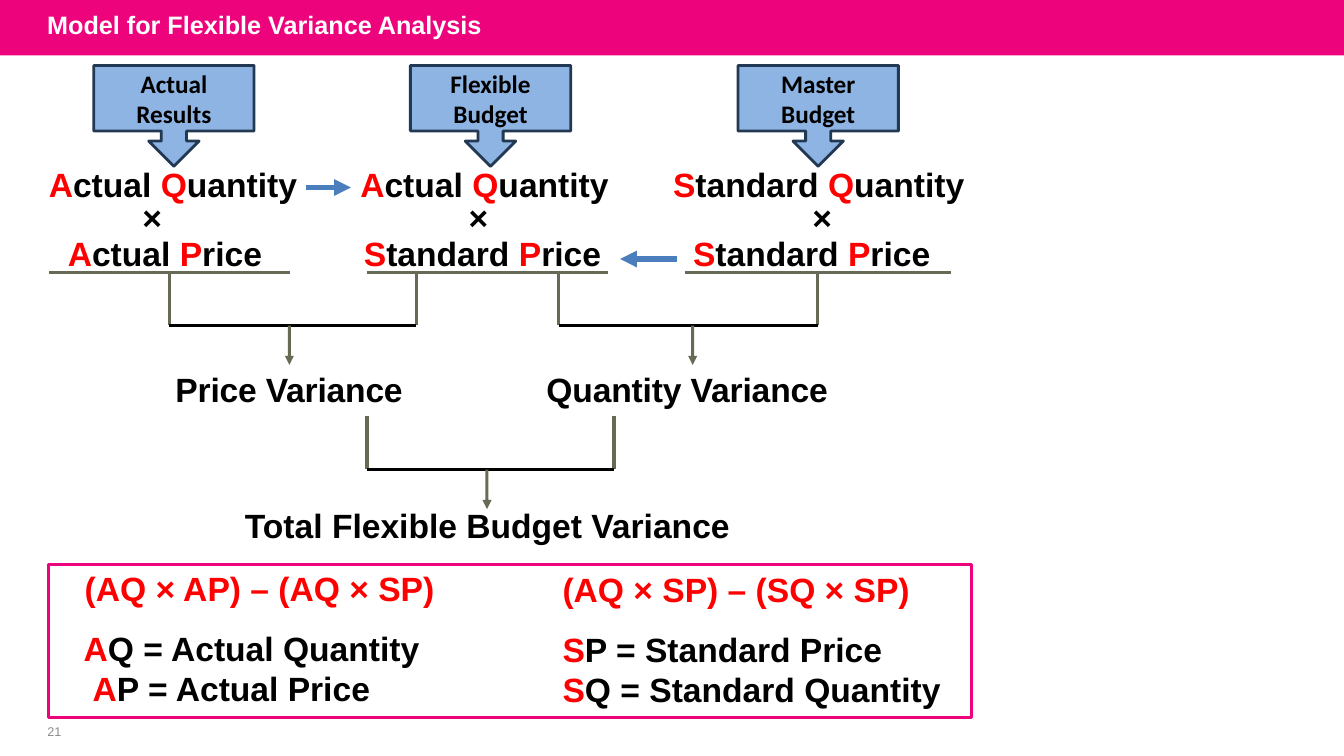
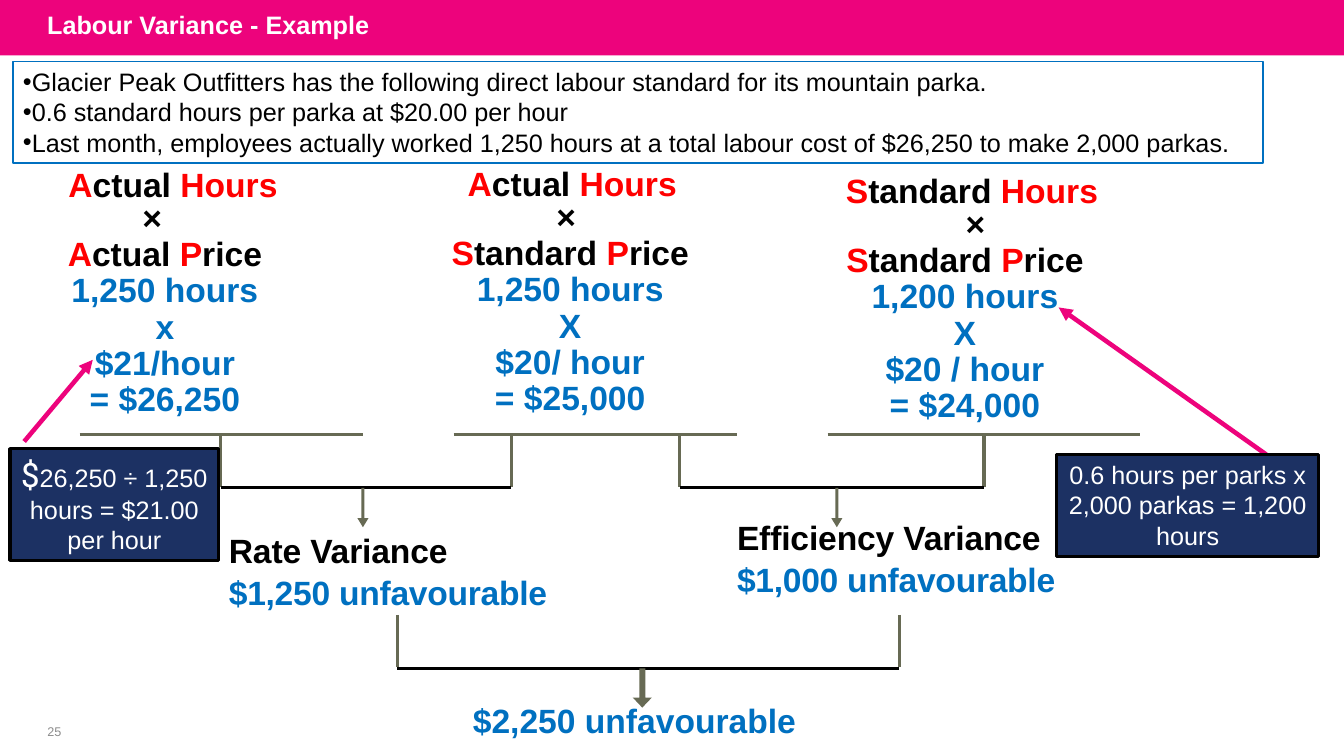
from dataclasses import dataclass

from lxml.etree import SubElement
from pptx import Presentation
from pptx.dml.color import RGBColor
from pptx.enum.shapes import MSO_CONNECTOR, MSO_SHAPE
from pptx.enum.text import MSO_ANCHOR, PP_ALIGN
from pptx.oxml.ns import qn
from pptx.util import Inches, Pt

PINK = RGBColor(0xED, 0x03, 0x7C)
WHITE = RGBColor(0xFF, 0xFF, 0xFF)
BLACK = RGBColor(0x00, 0x00, 0x00)
GREY = RGBColor(0x8C, 0x8C, 0x8C)
RED = RGBColor(0xFF, 0x00, 0x00)
BLUE = RGBColor(0x00, 0x70, 0xC0)
OLIVE = RGBColor(0x67, 0x6A, 0x54)
SKY = RGBColor(0x8E, 0xB4, 0xE3)
SKY_EDGE = RGBColor(0x23, 0x39, 0x53)
ARROW_BLUE = RGBColor(0x4B, 0x7E, 0xBC)
NAVY = RGBColor(0x1C, 0x31, 0x63)

LEFT, CENTER = PP_ALIGN.LEFT, PP_ALIGN.CENTER
COLUMN_WIDTHS = (2.49, 2.49, 2.92)
TIMES_INDENTS = ((0, 0.41), (0, 0.12), (0.07, 0))
PRICE_INDENTS = ((0, 0.16), (0, 0.04), (0, 0.14))
BASE_DROP = 0.53
LEG_LENGTH = 0.52
ARROW_LENGTH = 0.39

Point = tuple[float, float]


@dataclass(frozen=True)
class Area:
    left: float
    top: float
    width: float
    height: float


@dataclass(frozen=True)
class Line:
    text: str
    color: RGBColor = BLACK
    before: float = 0
    spacing: float | None = None
    indents: tuple[float, float] = (0, 0)
    bullet: bool = False
    tracking: float = 0


@dataclass(frozen=True)
class Column:
    left: float
    top: float
    quantity: str
    price: str
    amounts: tuple[str, ...] = ()


@dataclass(frozen=True)
class Rule:
    left: float
    right: float
    legs: tuple[float, ...]


@dataclass(frozen=True)
class Bracket:
    left: float
    right: float
    top: float
    arrow_center: float
    arrow_width: float = 0.09
    shaft_width: float = 0.03
    head_length: float = 0.09


def write(shape, lines: list[Line], size: float = 24, bold: bool = True,
          align=LEFT, font: str = "Arial") -> None:
    frame = shape.text_frame
    frame.word_wrap = True
    for index, line in enumerate(lines):
        paragraph = frame.add_paragraph() if index else frame.paragraphs[0]
        paragraph.alignment = align
        if line.before:
            paragraph.space_before = Pt(line.before)
        if line.spacing:
            paragraph.line_spacing = Pt(line.spacing)
        properties = paragraph._p.get_or_add_pPr()
        for name, indent in zip(("marL", "marR"), line.indents):
            if indent:
                properties.set(name, str(Inches(indent)))
        if line.bullet:
            SubElement(properties, qn("a:buFont")).set("typeface", "Arial")
            SubElement(properties, qn("a:buChar")).set("char", "•")
        for part, text in enumerate(line.text.split("*")):
            if text:
                span = paragraph.add_run()
                span.text = text
                span.font.name = font
                span.font.size = Pt(size)
                span.font.bold = bold
                span.font.color.rgb = RED if part % 2 else line.color
                if line.tracking:
                    span._r.get_or_add_rPr().set("spc", str(round(line.tracking * 100)))


def add_text(page, area: Area, lines: list[Line], align=LEFT, size: float = 24):
    box = page.shapes.add_textbox(Inches(area.left), Inches(area.top),
                                  Inches(area.width), Inches(area.height))
    frame = box.text_frame
    frame.margin_left = frame.margin_right = frame.margin_bottom = 0
    frame.margin_top = Inches(0.01)
    write(box, lines, size, size > 9, align)
    return box


def add_block(page, area: Area, fill: RGBColor | None = None,
              edge: RGBColor | None = None, weight: float = 2,
              kind=MSO_SHAPE.RECTANGLE):
    block = page.shapes.add_shape(kind, Inches(area.left), Inches(area.top),
                                  Inches(area.width), Inches(area.height))
    block.shadow.inherit = False
    if fill is None:
        block.fill.background()
    else:
        block.fill.solid()
        block.fill.fore_color.rgb = fill
    if edge is None:
        block.line.fill.background()
    else:
        block.line.color.rgb = edge
        block.line.width = Pt(weight)
    return block


def add_line(page, start: Point, end: Point, color: RGBColor,
             weight: float = 2.25, arrow: bool = False) -> None:
    connector = page.shapes.add_connector(
        MSO_CONNECTOR.STRAIGHT, Inches(start[0]), Inches(start[1]),
        Inches(end[0]), Inches(end[1]))
    connector.line.color.rgb = color
    connector.line.width = Pt(weight)
    if arrow:
        SubElement(connector.line._get_or_add_ln(), qn("a:tailEnd")).set("type", "triangle")
    SubElement(connector._element.spPr, qn("a:effectLst"))


def add_strokes(page, strokes: list[tuple[Point, Point]]) -> None:
    first = strokes[0][0]
    builder = page.shapes.build_freeform(Inches(first[0]), Inches(first[1]))
    for index, (start, end) in enumerate(strokes):
        if index:
            builder.move_to(Inches(start[0]), Inches(start[1]))
        builder.add_line_segments([(Inches(end[0]), Inches(end[1]))], close=False)
    outline = builder.convert_to_shape()
    outline.shadow.inherit = False
    outline.fill.background()
    outline.line.color.rgb = OLIVE
    outline.line.width = Pt(2.25)


def leg_strokes(legs: tuple[float, ...], top: float) -> list[tuple[Point, Point]]:
    return [((leg, top), (leg, top + LEG_LENGTH)) for leg in legs]


def add_rules(page, rules: list[Rule], top: float) -> None:
    for rule in rules:
        add_strokes(page, [((rule.left, top), (rule.right, top))] + leg_strokes(rule.legs, top))


def add_bracket(page, bracket: Bracket) -> None:
    base = bracket.top + BASE_DROP
    add_line(page, (bracket.left, base), (bracket.right, base), BLACK)
    width = bracket.arrow_width
    arrow = add_block(page, Area(bracket.arrow_center - width / 2, base, width, ARROW_LENGTH),
                      OLIVE, kind=MSO_SHAPE.DOWN_ARROW)
    arrow.adjustments[0] = bracket.shaft_width / width
    arrow.adjustments[1] = bracket.head_length / width


def add_columns(page, columns: list[Column]) -> None:
    for column, width, times, price in zip(columns, COLUMN_WIDTHS, TIMES_INDENTS, PRICE_INDENTS):
        lines = [Line(column.quantity, spacing=25.9),
                 Line("×", spacing=23.1, indents=times),
                 Line(column.price, spacing=25.9, indents=price)]
        lines += [Line(amount, BLUE, spacing=25.9, indents=price) for amount in column.amounts]
        add_text(page, Area(column.left, column.top, width, 0.36 * len(lines)), lines, CENTER)


def add_page(deck, title: str, number: str):
    page = deck.slides.add_slide(deck.slide_layouts[6])
    add_block(page, Area(0, 0, 13.33, 0.55), PINK)
    heading = page.shapes.add_textbox(Inches(0.37), Inches(-0.03), Inches(10.5), Inches(0.55))
    heading.text_frame.vertical_anchor = MSO_ANCHOR.MIDDLE
    write(heading, [Line(title, WHITE)], 18)
    footer = add_text(page, Area(0.28, 7.13, 0.52, 0.24), [Line(number, GREY)], CENTER, 9)
    footer.text_frame.vertical_anchor = MSO_ANCHOR.MIDDLE
    return page


def build_model(deck) -> None:
    page = add_page(deck, "Model for Flexible Variance Analysis", "21")
    add_columns(page, [
        Column(0.47, 1.66, "*A*ctual *Q*uantity", "*A*ctual *P*rice"),
        Column(3.56, 1.66, "*A*ctual *Q*uantity", "*S*tandard *P*rice"),
        Column(6.66, 1.66, "*S*tandard *Q*uantity", "*S*tandard *P*rice"),
    ])
    add_rules(page, [Rule(0.49, 2.88, (1.68,)), Rule(3.64, 6.03, (4.13, 5.54)),
                     Rule(6.79, 9.43, (8.11,))], 2.7)
    add_strokes(page, leg_strokes((3.64, 6.09), 4.13))
    for bracket in (Bracket(1.68, 4.13, 2.7, 2.87), Bracket(5.54, 8.11, 2.7, 6.87),
                    Bracket(3.64, 6.09, 4.13, 4.83)):
        add_bracket(page, bracket)
    for left, top, width, label, tracking in (
            (1.74, 3.65, 2.4, "Price Variance", -0.15),
            (5.42, 3.65, 2.9, "Quantity Variance", -0.1),
            (2.43, 5, 5.04, "Total Flexible Budget Variance", 0)):
        add_text(page, Area(left, top, width, 0.43), [Line(label, tracking=tracking)])

    add_block(page, Area(0.48, 5.6, 9.16, 1.52), edge=PINK)
    add_text(page, Area(0.83, 5.62, 3.6, 1.42), [
        Line("(AQ × AP) – (AQ × SP)", RED, indents=(0.01, 0)),
        Line("*A*Q = Actual Quantity", before=14.4),
        Line("*A*P = Actual Price", indents=(0.09, 0)),
    ])
    add_text(page, Area(5.58, 5.63, 3.9, 1.42), [
        Line("(AQ × SP) – (SQ × SP)", RED),
        Line("*S*P = Standard Price", before=14.4),
        Line("*S*Q = Standard Quantity"),
    ])

    for left, labels in ((0.93, ("Actual", "Results")), (4.07, ("Flexible Budget",)),
                         (7.32, ("Master Budget",))):
        callout = add_block(page, Area(left, 0.65, 1.59, 1), SKY, SKY_EDGE,
                            kind=MSO_SHAPE.DOWN_ARROW_CALLOUT)
        write(callout, [Line(label) for label in labels], 18, align=CENTER, font="Calibri")
    add_line(page, (3.04, 1.86), (3.48, 1.86), ARROW_BLUE, 4, True)
    add_line(page, (6.71, 2.57), (6.15, 2.57), ARROW_BLUE, 4, True)


def build_example(deck) -> None:
    page = add_page(deck, "Labour Variance - Example", "25")
    add_columns(page, [
        Column(0.47, 1.66, "*A*ctual *Hours*", "*A*ctual *P*rice",
               ("1,250 hours", "x", "$21/hour", "= $26,250")),
        Column(4.43, 1.65, "*A*ctual *Hours*", "*S*tandard *P*rice",
               ("1,250 hours", "X", "$20/ hour", "= $25,000")),
        Column(8.18, 1.72, "*S*tandard *Hours*", "*S*tandard *P*rice",
               ("1,200 hours", "X", "$20 / hour", "= $24,000")),
    ])
    add_rules(page, [Rule(0.79, 3.6, (2.19,)), Rule(4.5, 7.31, (5.07, 6.74)),
                     Rule(8.21, 11.31, (9.76,))], 4.31)
    add_strokes(page, leg_strokes((3.94, 8.92), 6.1))
    for bracket in (Bracket(2.19, 5.07, 4.31, 3.6, 0.11), Bracket(6.74, 9.76, 4.31, 8.3, 0.11),
                    Bracket(3.94, 8.92, 6.1, 6.37, 0.19, 0.06, 0.1)):
        add_bracket(page, bracket)
    for left, top, label, amount in (
            (2.27, 5.25, "Rate Variance", "$1,250 unfavourable"),
            (7.31, 5.12, "Efficiency Variance", "$1,000 unfavourable")):
        add_text(page, Area(left, top, 3.35, 0.84),
                 [Line(label, tracking=-0.1), Line(amount, BLUE, before=1, tracking=-0.2)])
    add_text(page, Area(4.69, 6.93, 3.55, 0.42), [Line("$2,250 unfavourable", BLUE)])

    facts = add_block(page, Area(0.13, 0.61, 12.4, 1.01), edge=BLUE, weight=1.25)
    facts.text_frame.vertical_anchor = MSO_ANCHOR.TOP
    write(facts, [Line(text, bullet=True) for text in (
        "Glacier Peak Outfitters has the following direct labour standard for its mountain parka.",
        "0.6 standard hours per parka at $20.00 per hour",
        "Last month, employees actually worked 1,250 hours at a total labour cost of $26,250 "
        "to make 2,000 parkas.",
    )], 18, False)

    add_line(page, (0.24, 4.38), (0.92, 3.57), PINK, 3.25, True)
    add_line(page, (12.56, 4.51), (10.5, 3.05), PINK, 3.25, True)
    for area, text in (
            (Area(10.48, 4.51, 2.6, 1.01), "0.6 hours per parks x 2,000 parkas = 1,200 hours"),
            (Area(0.1, 4.45, 2.07, 1.11), "*$*26,250 ÷ 1,250 hours = $21.00 per hour")):
        note = add_block(page, area, NAVY, BLACK, 2.25)
        note.text_frame.vertical_anchor = MSO_ANCHOR.TOP
        write(note, [Line(text, WHITE)], 18, False, CENTER)
    dollar = note.text_frame.paragraphs[0].runs[0].font
    dollar.name = "Roboto Slab"
    dollar.size = Pt(24)
    dollar.color.rgb = WHITE


def main() -> None:
    deck = Presentation()
    deck.slide_width = Inches(13.33)
    deck.slide_height = Inches(7.5)
    build_model(deck)
    build_example(deck)
    deck.save("out.pptx")


if __name__ == "__main__":
    main()
